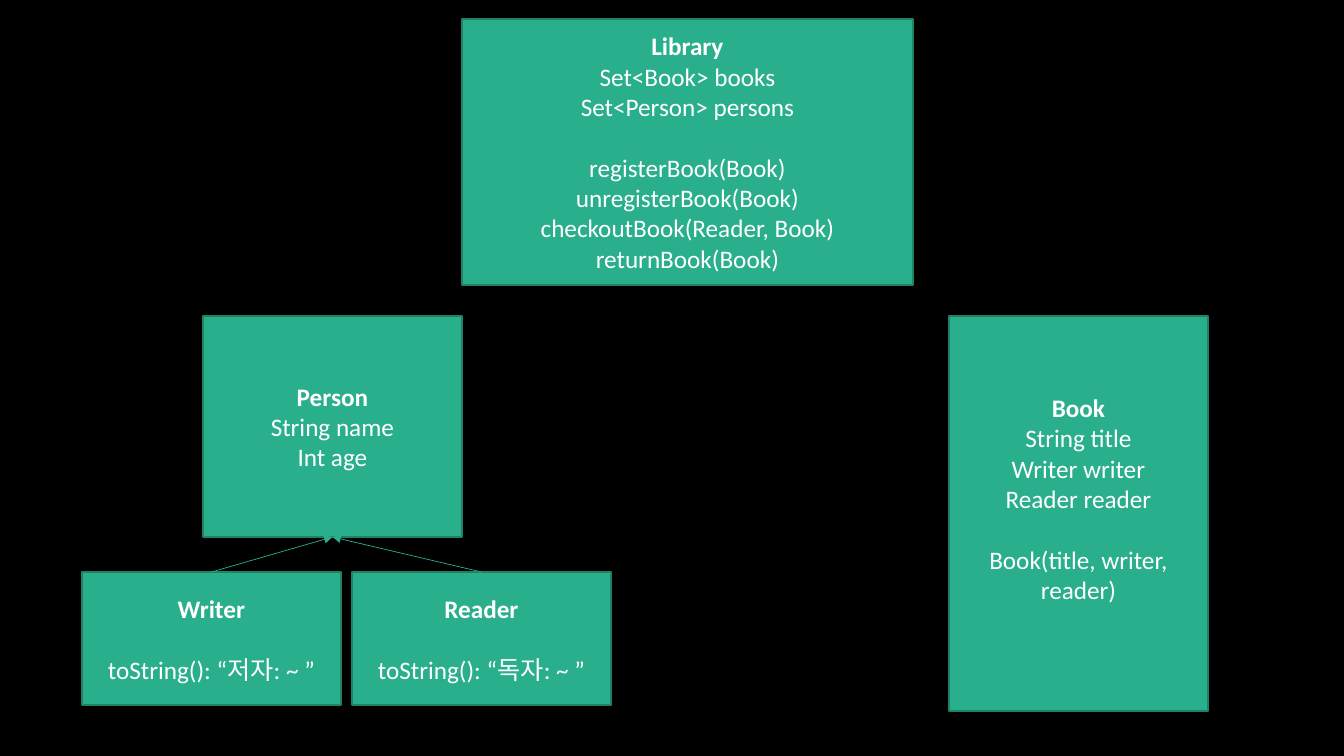
"""Build a class diagram of a library with its people and books."""
from lxml import etree
from pptx import Presentation
from pptx.dml.color import RGBColor
from pptx.enum.shapes import MSO_CONNECTOR, MSO_SHAPE
from pptx.enum.text import MSO_ANCHOR, PP_ALIGN
from pptx.oxml.ns import qn
from pptx.util import Emu, Pt

RECTANGLE = MSO_SHAPE.RECTANGLE
STRAIGHT = MSO_CONNECTOR.STRAIGHT
MIDDLE = MSO_ANCHOR.MIDDLE
CENTER = PP_ALIGN.CENTER

BLACK = RGBColor(0x00, 0x00, 0x00)
WHITE = RGBColor(0xFF, 0xFF, 0xFF)
GREEN = RGBColor(0x29, 0xAF, 0x8C)
DARK_GREEN = RGBColor(0x1E, 0x81, 0x68)

EMU_PER_PIXEL = 914400 / 100.8
SLIDE_WIDTH, SLIDE_HEIGHT = 1344, 756
TOP_SITE, BOTTOM_SITE = 0, 2


def pixels(length):
    return Emu(round(length * EMU_PER_PIXEL))


class ClassDiagram:
    font = "Calibri"
    size = Pt(18)
    group_gap = Pt(22)

    def __init__(self, slide):
        self.slide = slide
        fill = slide.background.fill
        fill.solid()
        fill.fore_color.rgb = BLACK

    def class_box(self, left, top, width, height, name, *groups, bottom_inset=5):
        shape = self.slide.shapes.add_shape(
            RECTANGLE, *map(pixels, (left, top, width, height)))
        shape.shadow.inherit = False
        shape.fill.solid()
        shape.fill.fore_color.rgb = GREEN
        shape.line.color.rgb = DARK_GREEN
        shape.line.width = Pt(1)
        frame = shape.text_frame
        frame.word_wrap = True
        frame.vertical_anchor = MIDDLE
        frame.margin_bottom = pixels(bottom_inset)
        self.text_line(frame.paragraphs[0], name, bold=True)
        for group_index, group in enumerate(groups):
            for line_index, text in enumerate(group):
                paragraph = frame.add_paragraph()
                self.text_line(paragraph, text)
                if group_index and not line_index:
                    paragraph.space_before = self.group_gap
        return shape

    def text_line(self, paragraph, text, bold=False):
        paragraph.alignment = CENTER
        run = paragraph.add_run()
        run.text = text
        run.font.name = self.font
        run.font.size = self.size
        run.font.bold = bold
        run.font.color.rgb = WHITE

    def inheritance(self, child, parent):
        connector = self.slide.shapes.add_connector(STRAIGHT, 0, 0, 0, 0)
        connector.begin_connect(child, TOP_SITE)
        connector.end_connect(parent, BOTTOM_SITE)
        connector.line.color.rgb = GREEN
        connector.line.width = Pt(0.5)
        properties = connector._element.spPr
        line = properties.find(qn("a:ln"))
        etree.SubElement(line, qn("a:tailEnd"), type="triangle")
        etree.SubElement(properties, qn("a:effectLst"))


presentation = Presentation()
presentation.slide_width = pixels(SLIDE_WIDTH)
presentation.slide_height = pixels(SLIDE_HEIGHT)
diagram = ClassDiagram(presentation.slides.add_slide(presentation.slide_layouts[6]))

diagram.class_box(
    462, 19, 451, 266, "Library",
    ["Set<Book> books", "Set<Person> persons"],
    ["registerBook(Book)", "unregisterBook(Book)",
     "checkoutBook(Reader, Book)", "returnBook(Book)"])
diagram.class_box(
    949, 316, 259, 395, "Book",
    ["String title", "Writer writer", "Reader reader"],
    ["Book(title, writer, reader)"], bottom_inset=35)
person = diagram.class_box(
    203, 316, 259, 221, "Person", ["String name", "Int age"])

subclasses = [(82, "Writer", "저자"), (352, "Reader", "독자")]
boxes = [
    diagram.class_box(left, 572, 259, 133, name, [],
                      [f"toString(): “{label}: ~ ”"])
    for left, name, label in subclasses]
for box in boxes:
    diagram.inheritance(box, person)

presentation.save("out.pptx")
